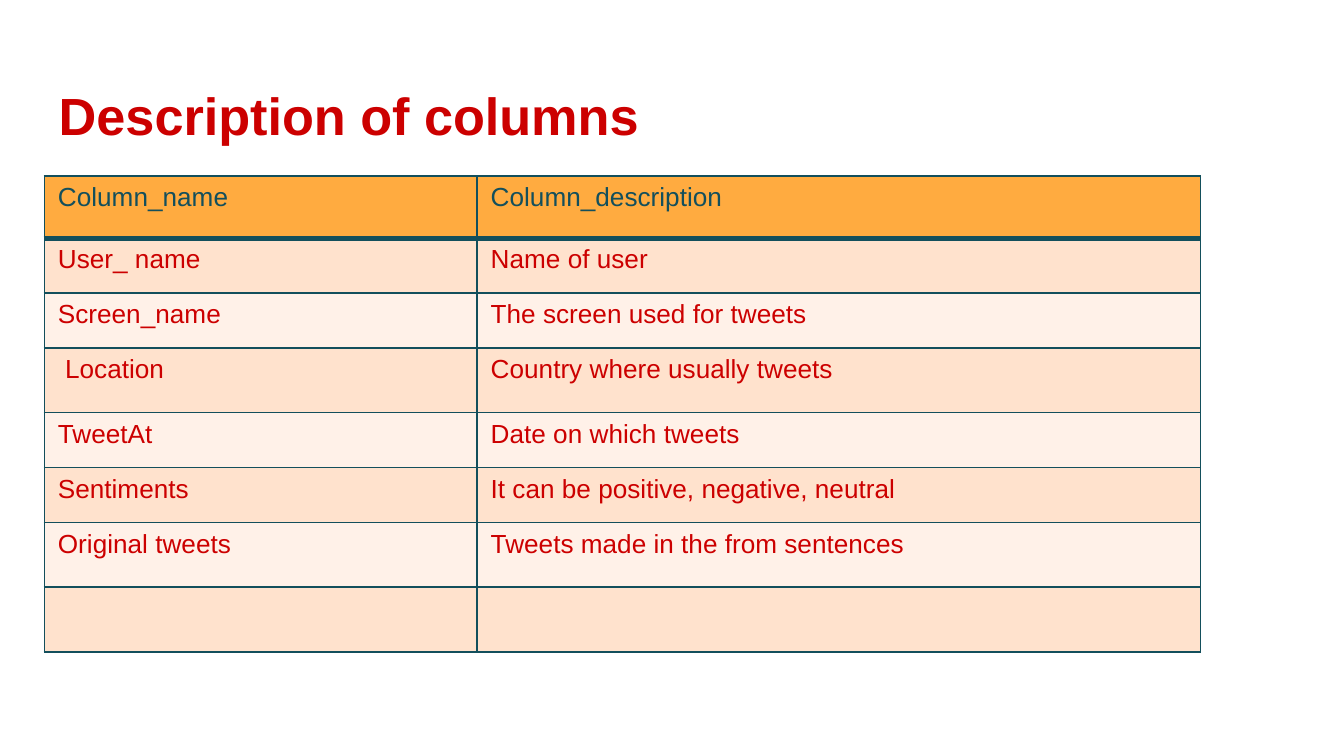
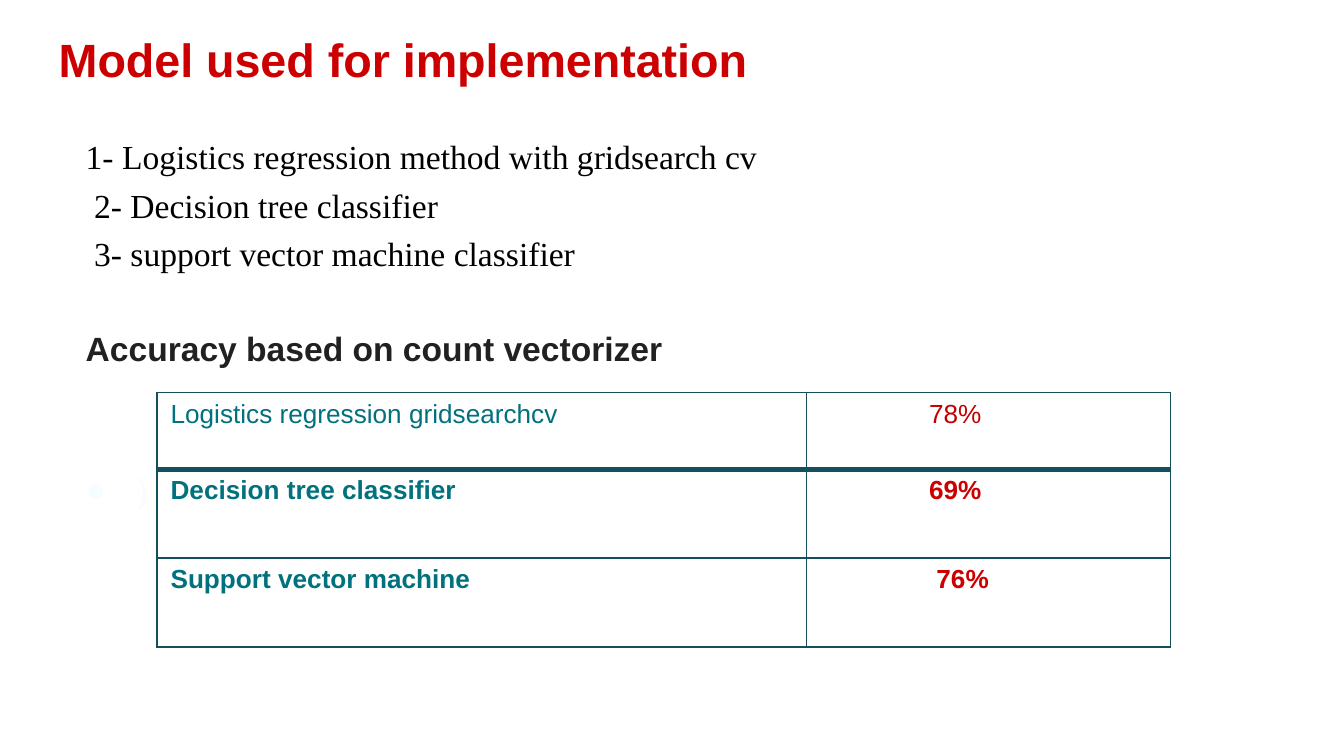
from lxml.etree import SubElement
from pptx import Presentation
from pptx.dml.color import RGBColor
from pptx.enum.text import MSO_ANCHOR as Anchor, MSO_AUTO_SIZE as AutoSize, PP_ALIGN as Align
from pptx.oxml.ns import qn
from pptx.util import Cm, Pt

COLORS = {
    "red": "CC0000", "dark_red": "C00000", "teal": "00717D", "border": "134F5C",
    "header": "FFAB40", "band": "FFE2CD", "light_band": "FFF1E8",
    "black": "000000", "charcoal": "212121", "pale": "F5FDFF",
}


def write(paragraph, text, size=14, font="Arial", color="red", bold=False, align=Align.LEFT):
    paragraph.alignment = align
    run = paragraph.add_run()
    run.text = text
    run.font.size = Pt(size)
    run.font.name = font
    run.font.bold = bold
    run.font.color.rgb = RGBColor.from_string(COLORS[color])


def add_table(slide, left, top, widths, heights):
    """Add an unstyled table with thin borders and a thick line under its first row."""
    table = slide.shapes.add_table(len(heights), len(widths), Cm(left), Cm(top),
                                   Cm(sum(widths)), Cm(sum(heights))).table
    table.first_row = table.horz_banding = False
    for column, width in zip(table.columns, widths):
        column.width = Cm(width)
    for row_index, (row, height) in enumerate(zip(table.rows, heights)):
        row.height = Cm(height)
        for cell in row.cells:
            properties = cell._tc.get_or_add_tcPr()
            for side in "LRTB":
                thick = (row_index, side) in ((0, "B"), (1, "T"))
                line = SubElement(properties, qn(f"a:ln{side}"), w=str(Pt(3 if thick else 1)))
                fill = SubElement(line, qn("a:solidFill"))
                SubElement(fill, qn("a:srgbClr"), val=COLORS["border"])
            cell.fill.background()
    return table


presentation = Presentation()
presentation.slide_width = Cm(25.4)
presentation.slide_height = Cm(14.29)

# Both slides: title placeholder
slides = []
for layout, text, size, top, height in (
    (5, "Description of columns", 28, 1.24, 1.6),
    (1, "Model used for implementation", 25, 0.25, 2.08),
):
    slide = presentation.slides.add_slide(presentation.slide_layouts[layout])
    title = slide.shapes.title
    title.left, title.top, title.width, title.height = Cm(0.86), Cm(top), Cm(23.67), Cm(height)
    frame = title.text_frame
    frame.auto_size = AutoSize.NONE
    frame.vertical_anchor = Anchor.TOP
    frame.margin_left = frame.margin_right = frame.margin_bottom = Cm(0.25)
    frame.margin_top = Cm(0.33)
    write(frame.paragraphs[0], text, size=size, bold=True)
    slides.append(slide)
columns_slide, model_slide = slides

# Slide 1: column descriptions, last row left empty
descriptions = [
    ("Column_name", "Column_description"),
    ("User_ name", "Name of user"),
    ("Screen_name", "The screen used for tweets"),
    (" Location", "Country where usually tweets"),
    ("TweetAt", "Date on which tweets"),
    ("Sentiments", "It can be positive, negative, neutral"),
    ("Original tweets", "Tweets made in the from sentences"),
    ("", ""),
]
table = add_table(columns_slide, 0.84, 3.33, (8.18, 13.67),
                  (1.17, 1.04, 1.04, 1.22, 1.04, 1.04, 1.22, 1.22))
for row_index, texts in enumerate(descriptions):
    band = "header" if row_index == 0 else "band" if row_index % 2 else "light_band"
    for cell, text in zip(table.rows[row_index].cells, texts):
        cell.fill.solid()
        cell.fill.fore_color.rgb = RGBColor.from_string(COLORS[band])
        if text:
            write(cell.text_frame.paragraphs[0], text, color="red" if row_index else "border")

# Slide 2: list of models
body = model_slide.placeholders[1]
body.left, body.top, body.width, body.height = Cm(1.07), Cm(2.13), Cm(23.47), Cm(3.28)
frame = body.text_frame
frame.auto_size = AutoSize.NONE
frame.vertical_anchor = Anchor.TOP
frame.margin_left = frame.margin_right = frame.margin_bottom = Cm(0.25)
frame.margin_top = Cm(0.29)
serif = {"font": "Times New Roman", "color": "black", "align": Align.JUSTIFY}
items = [
    ("1- Logistics regression method with gridsearch cv", 0, False, serif),
    (" 2- Decision tree classifier", 0, False, serif),
    (" 3- support vector machine classifier", 0, False, serif),
    ("Accuracy based on count vectorizer", 25, False, {"color": "charcoal", "bold": True}),
    (")", 50, True, {"color": "pale"}),
]
for index, (text, space, bullet, style) in enumerate(items):
    paragraph = frame.add_paragraph() if index else frame.paragraphs[0]
    write(paragraph, text, size=18, **style)
    paragraph.line_spacing = 1.2
    paragraph.space_before = Pt(space)
    properties = paragraph._p.get_or_add_pPr()
    properties.set("marL", str(Cm(1.27)))
    properties.set("indent", str(Cm(-0.97)))
    if bullet:
        bullet_color = SubElement(properties, qn("a:buClr"))
        SubElement(bullet_color, qn("a:srgbClr"), val=COLORS["pale"])
        SubElement(properties, qn("a:buFont"), typeface="Arial")
        SubElement(properties, qn("a:buChar"), char="●")
    else:
        SubElement(properties, qn("a:buNone"))

# Slide 2: accuracy of each model
accuracies = [
    ("Logistics regression gridsearchcv", "78%", "dark_red"),
    ("Decision tree classifier", "69%", "red"),
    ("Support vector machine", " 76%", "red"),
]
table = add_table(model_slide, 2.97, 7.42, (12.27, 6.88), (1.45, 1.68, 1.68))
for row_index, (model, accuracy, accuracy_color) in enumerate(accuracies):
    model_cell, accuracy_cell = table.rows[row_index].cells
    bold = row_index > 0
    write(model_cell.text_frame.paragraphs[0], model, color="teal", bold=bold)
    accuracy_cell.margin_left = Cm(2.32)
    write(accuracy_cell.text_frame.paragraphs[0], accuracy, color=accuracy_color, bold=bold)

presentation.save("out.pptx")
